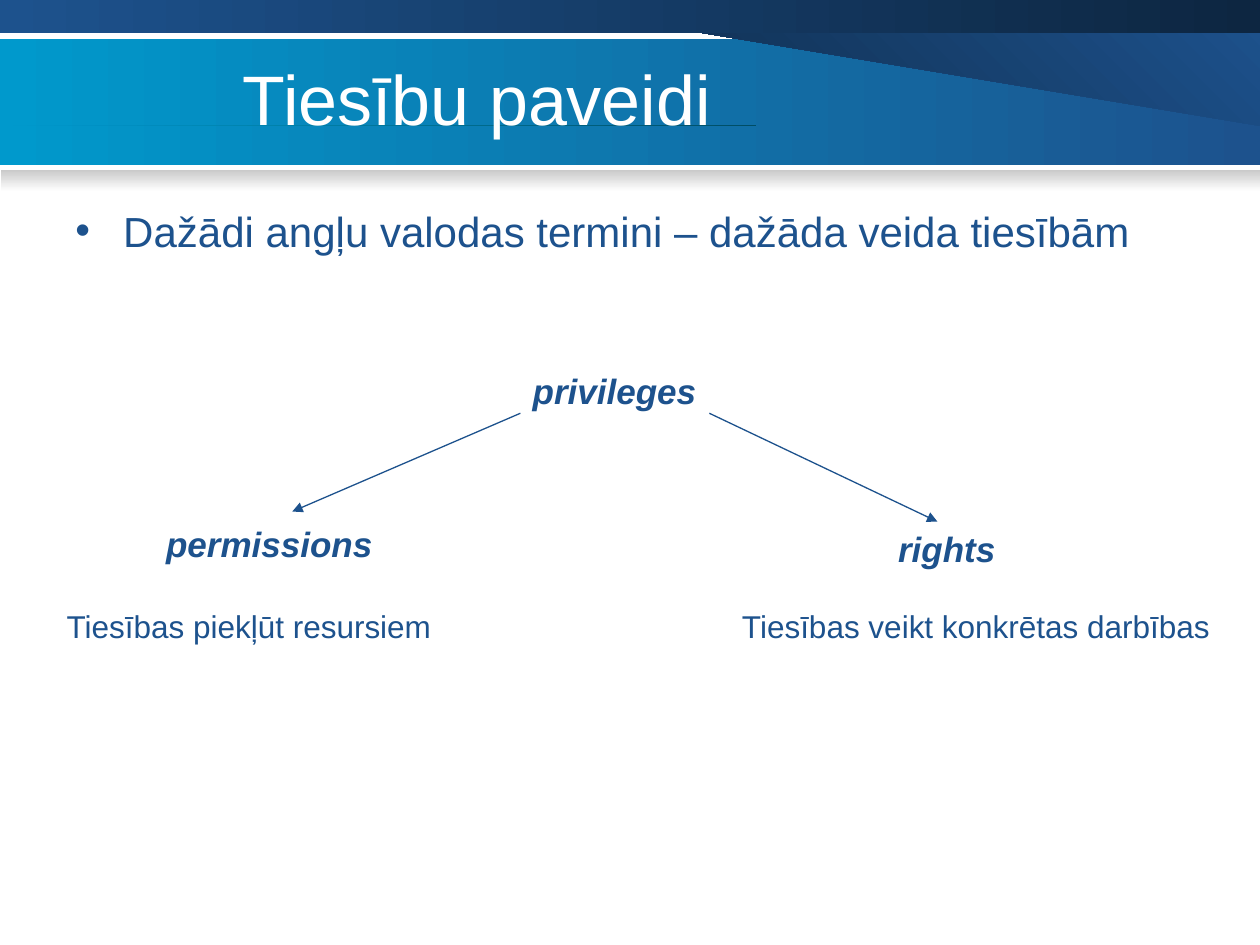
import pptx
import pptx.util
import pptx.dml.color
import pptx.enum.shapes
import pptx.enum.text
import pptx.oxml
import pptx.oxml.ns

Inch = pptx.util.Inches
NAVY, DARK, CYAN, WHITE = "1D528D", "0D2641", "0099CC", "FFFFFF"
WIDE, HIGH = 10, 7.5

# Header bands: box, colours from and to, angle (counterclockwise)
BAND = ((0, 0.31, 10, 1), CYAN, NAVY, 0)
STRIPS = [
    ((0, 0, 10, 0.26), NAVY, DARK, 0),
    ((0.01, 1.35, 9.99, 0.17), "CACACA", WHITE, 270),
]
WEDGES = [
    ([(3.93, 0.31), (10, 0.67), (10, 0.31)], NAVY, DARK, 225),
    ([(0, 0.81), (6.43, 1.3), (0, 1.3)], CYAN, "00475E", 45),
]

# Text
TITLE = "Tiesību paveidi"
LEAD = "Dažādi angļu valodas termini – dažāda veida tiesībām"
TERMS = [
    ("privileges", (4.13, 2.88, 1.5, 0.44)),
    ("permissions", (1.22, 4.1, 1.84, 0.44)),
    ("rights", (7.03, 4.14, 0.97, 0.44)),
]
NOTES = [
    ("Tiesības piekļūt resursiem", (0.43, 4.77, 3.1, 0.4)),
    ("Tiesības veikt konkrētas darbības", (5.79, 4.77, 3.92, 0.4)),
]
ARROWS = [((4.13, 3.28), (2.32, 4.06)), ((5.63, 3.28), (7.44, 4.14))]


def color(text):
    return pptx.dml.color.RGBColor.from_string(text)


def node(owner, tag, **attrs):
    item = pptx.oxml.ns.qn("a:" + tag)
    child = owner.makeelement(item, attrs)
    owner.append(child)
    return child


def blend(shape, start, end, angle):
    shape.shadow.inherit = False
    shape.line.fill.background()
    shape.fill.gradient()
    shape.fill.gradient_angle = angle
    for stop, tone in zip(shape.fill.gradient_stops, (start, end)):
        stop.color.rgb = color(tone)


def strip(box, *tones):
    kind = pptx.enum.shapes.MSO_SHAPE.RECTANGLE
    blend(shapes.add_shape(kind, *map(Inch, box)), *tones)


def wedge(points, *tones):
    first, *rest = points
    path = shapes.build_freeform(*first, scale=Inch(1))
    path.add_line_segments(rest, close=True)
    blend(path.convert_to_shape(), *tones)


def label(text, box, size, tone=NAVY, wrap=False, strong=False, bullet=False):
    frame = shapes.add_textbox(*map(Inch, box)).text_frame
    frame.word_wrap = wrap
    para = frame.paragraphs[0]
    para.text = text
    if bullet:
        props = para._p.get_or_add_pPr()
        props.set("marL", str(Inch(0.38)))
        props.set("indent", str(-Inch(0.38)))
        node(node(props, "buClr"), "srgbClr", val=tone)
        node(props, "buFont", typeface="Arial")
        node(props, "buChar", char="•")
    font = para.font
    font.name, font.size = "Arial", pptx.util.Pt(size)
    font.color.rgb = color(tone)
    if strong:
        font.bold = font.italic = True
    return frame


def arrow(start, end):
    kind = pptx.enum.shapes.MSO_CONNECTOR.STRAIGHT
    link = shapes.add_connector(kind, *map(Inch, start + end))
    link.line.color.rgb = color(NAVY)
    link.line.width = pptx.util.Pt(0.75)
    node(link.line._get_or_add_ln(), "tailEnd", type="triangle")
    node(link._element.spPr, "effectLst")


deck = pptx.Presentation()
deck.slide_width, deck.slide_height = Inch(WIDE), Inch(HIGH)
shapes = deck.slides.add_slide(deck.slide_layouts[6]).shapes

# Header
strip(*BAND)
for item in WEDGES:
    wedge(*item)
for item in STRIPS:
    strip(*item)
head = label(TITLE, (1.83, 0.3, 7.25, 0.95), 40, WHITE, wrap=True)
head.vertical_anchor = pptx.enum.text.MSO_ANCHOR.MIDDLE

# Lead line
label(LEAD, (0.5, 1.58, 9, 0.67), 24, wrap=True, bullet=True)

# Tree of terms
for text, box in TERMS:
    label(text, box, 20, strong=True)
for ends in ARROWS:
    arrow(*ends)
for text, box in NOTES:
    label(text, box, 18)

deck.save("out.pptx")
